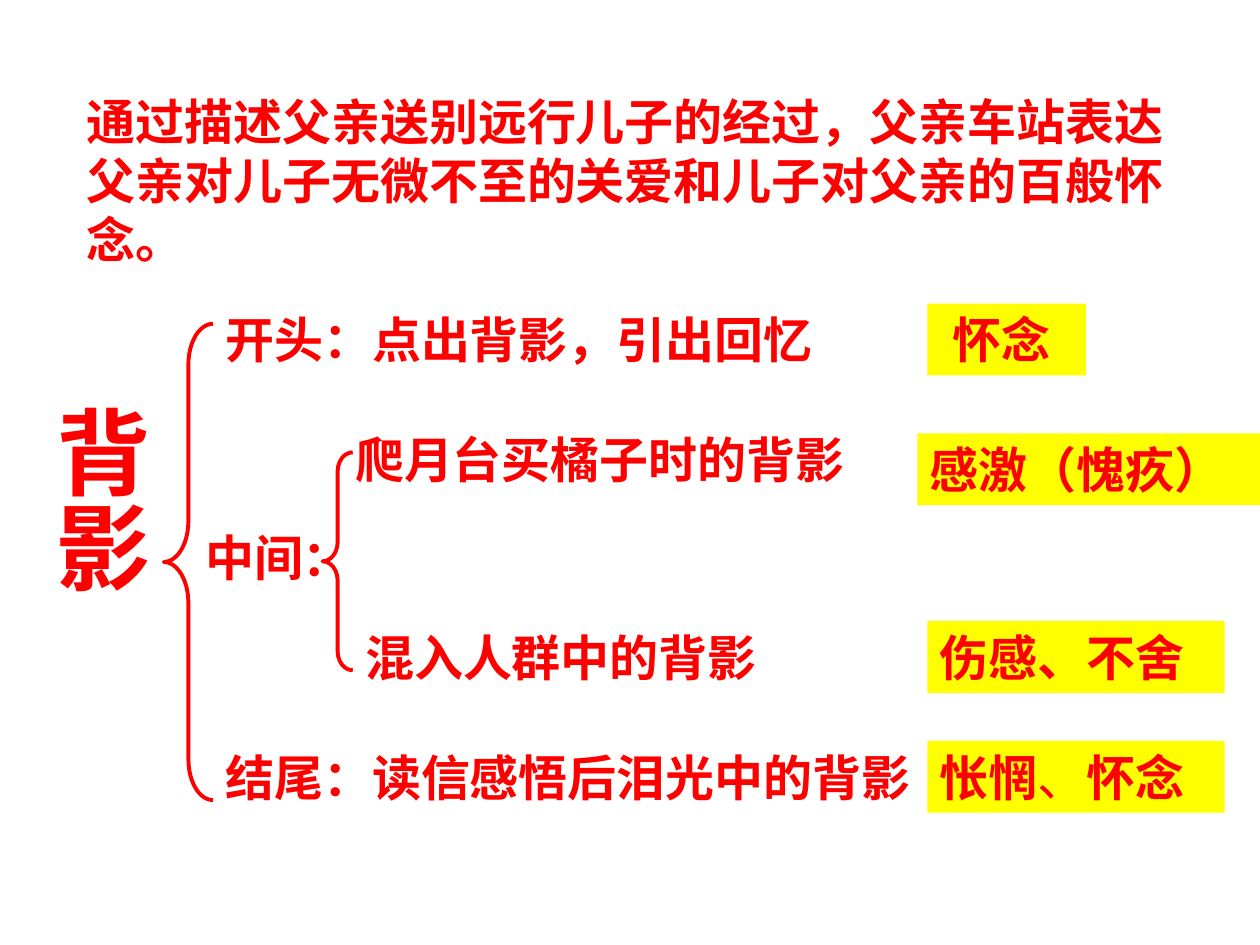
"""Build the lesson-outline slide with braces and mood labels."""
from dataclasses import dataclass

from lxml import etree
from pptx import Presentation
from pptx.dml.color import RGBColor
from pptx.enum.shapes import MSO_SHAPE
from pptx.enum.text import MSO_ANCHOR, MSO_AUTO_SIZE, PP_ALIGN
from pptx.oxml.ns import qn
from pptx.util import Inches, Pt

RED = RGBColor(0xFF, 0x00, 0x00)
YELLOW = RGBColor(0xFF, 0xFF, 0x00)
CJK_FONT = "Noto Sans CJK SC"
LATIN_FONT = "Arial"
RECT = MSO_SHAPE.RECTANGLE
BRACE = MSO_SHAPE.LEFT_BRACE
LEFT = PP_ALIGN.LEFT
TOP = MSO_ANCHOR.TOP
GROW = MSO_AUTO_SIZE.SHAPE_TO_FIT_TEXT

COLUMNS, ROWS = 100, 75
WIDTH, HEIGHT = Inches(10), Inches(7.5)
LINE_ROWS = 5.7
OPENING_ROW, PLATFORM_ROW, CROWD_ROW, ENDING_ROW = 24.1, 33.6, 49.3, 58.8
LABEL_COL = 73.6


@dataclass(frozen=True)
class Area:
    """A place on the grid, in columns and rows."""
    col: float
    row: float
    cols: float
    rows: float = LINE_ROWS

    def box(self) -> tuple[int, int, int, int]:
        """Return left, top, width and height as lengths."""
        return (int(WIDTH * self.col / COLUMNS), int(HEIGHT * self.row / ROWS),
                int(WIDTH * self.cols / COLUMNS), int(HEIGHT * self.rows / ROWS))


@dataclass(frozen=True)
class Note:
    """A line of the outline."""
    text: str
    area: Area
    wrap: bool = False
    font: str = CJK_FONT


@dataclass(frozen=True)
class Label:
    """A highlighted mood, given as runs of text."""
    runs: tuple[str, ...]
    area: Area
    indent: float = 0.1


@dataclass(frozen=True)
class Brace:
    """A left brace and the depth of its curls."""
    area: Area
    curl: float


NOTES = (
    Note("通过描述父亲送别远行儿子的经过，父亲车站表达父亲对儿子无微不至的关爱和儿子对父亲的百般怀念。",
         Area(5.9, 6.8, 87.4, 15), wrap=True),
    Note("开头：点出背影，引出回忆", Area(16.9, OPENING_ROW, 48.7)),
    Note("爬月台买橘子时的背影", Area(27.2, PLATFORM_ROW, 40.9)),
    Note("中间：", Area(15.3, 41.4, 13.7), font=LATIN_FONT),
    Note("混入人群中的背影", Area(28, CROWD_ROW, 33.1)),
    Note("结尾：读信感悟后泪光中的背影", Area(16.9, ENDING_ROW, 59.1), wrap=True),
)
LABELS = (
    Label(("怀念",), Area(LABEL_COL, OPENING_ROW, 12.6), indent=0.2),
    Label(("感激（愧疚）",), Area(72.8, 34.4, 27.2)),
    Label(("伤感、不舍",), Area(LABEL_COL, CROWD_ROW, 23.6)),
    Label(("怅惘", "、", "怀念"), Area(LABEL_COL, ENDING_ROW, 23.6)),
)
BRACES = (
    Brace(Area(13, 25.7, 3.9, 37.8), 0.83),
    Brace(Area(25.6, 35.9, 2.4, 17.3), 0.63),
)


def add_run(p, text: str, *, size: float = 28, font: str = CJK_FONT,
            bold: bool = True) -> None:
    """Add a red run with its Latin and East Asian fonts."""
    r = p.add_run()
    r.text = text
    r.font.size = Pt(size)
    r.font.bold = bold
    r.font.color.rgb = RED
    r.font.name = font
    etree.SubElement(r.font._element, qn("a:ea"), typeface=CJK_FONT)


def prepare(tf, *, wrap: bool):
    """Set up a text frame and return its first paragraph."""
    tf.word_wrap = wrap
    tf.auto_size = GROW
    tf.vertical_anchor = TOP
    p = tf.paragraphs[0]
    p.alignment = LEFT
    return p


def add_heading(s, text: str, area: Area) -> None:
    """Add the large vertical heading."""
    tf = s.shapes.add_textbox(*area.box()).text_frame
    add_run(prepare(tf, wrap=True), text, size=54)
    tf._txBody.bodyPr.set("vert", "eaVert")


def add_note(s, note: Note) -> None:
    """Add one outline line."""
    tf = s.shapes.add_textbox(*note.area.box()).text_frame
    add_run(prepare(tf, wrap=note.wrap), note.text, font=note.font)


def add_label(s, label: Label) -> None:
    """Add one yellow mood label."""
    sp = s.shapes.add_shape(RECT, *label.area.box())
    sp.shadow.inherit = False
    sp.fill.solid()
    sp.fill.fore_color.rgb = YELLOW
    sp.line.fill.background()
    p = prepare(sp.text_frame, wrap=True)
    sp.text_frame.margin_left = Inches(label.indent)
    for text in label.runs:
        add_run(p, text, font=LATIN_FONT, bold=text != "、")


def add_brace(s, brace: Brace) -> None:
    """Add one red brace."""
    sp = s.shapes.add_shape(BRACE, *brace.area.box())
    sp.shadow.inherit = False
    sp.adjustments[0] = brace.curl
    sp.adjustments[1] = 0.5
    sp.fill.background()
    sp.line.color.rgb = RED
    sp.line.width = Pt(2.25)


def main() -> None:
    """Build and save the slide."""
    prs = Presentation()
    prs.slide_width, prs.slide_height = WIDTH, HEIGHT
    s = prs.slides.add_slide(prs.slide_layouts[6])
    add_heading(s, "背影", Area(2, 31.2, 11, 26))
    for note in NOTES:
        add_note(s, note)
    for label in LABELS:
        add_label(s, label)
    for brace in BRACES:
        add_brace(s, brace)
    prs.save("out.pptx")


if __name__ == "__main__":
    main()
